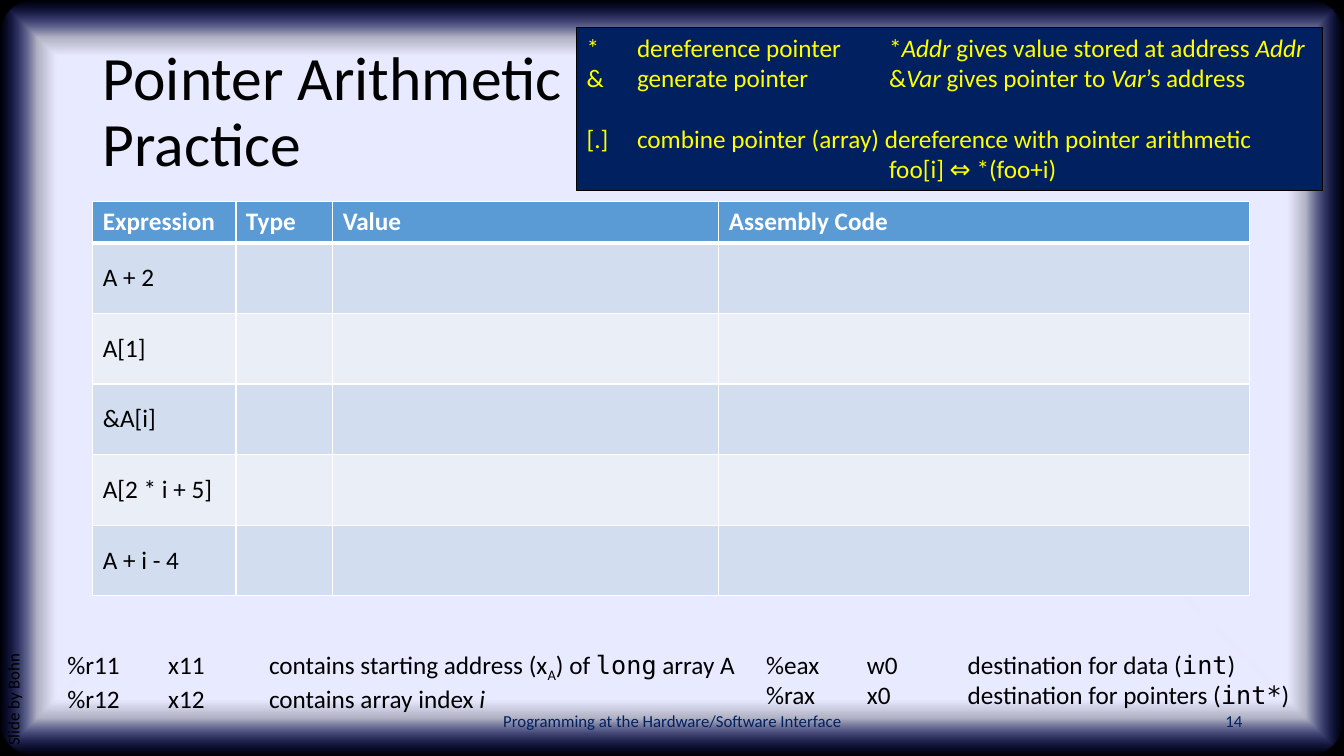
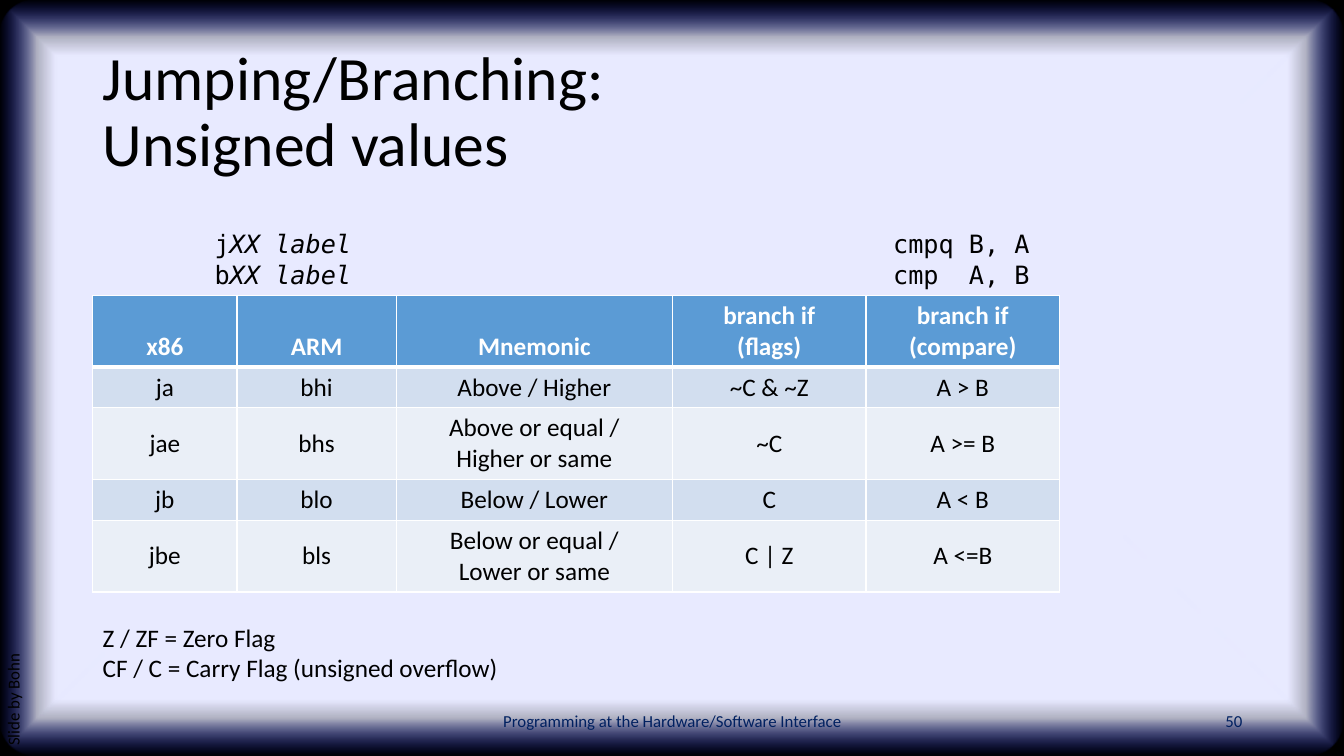
"""Build two lecture slides on pointer arithmetic and unsigned branching."""
from lxml import etree
from pptx import Presentation
from pptx.dml.color import RGBColor
from pptx.enum.shapes import MSO_SHAPE
from pptx.enum.text import MSO_ANCHOR, MSO_AUTO_SIZE, PP_ALIGN
from pptx.oxml import parse_xml
from pptx.oxml.ns import qn
from pptx.util import Inches, Pt

RECT, ROUND = MSO_SHAPE.RECTANGLE, MSO_SHAPE.ROUNDED_RECTANGLE
TOP, MID, LOW = MSO_ANCHOR.TOP, MSO_ANCHOR.MIDDLE, MSO_ANCHOR.BOTTOM
LEFT, MIDST, RIGHT = PP_ALIGN.LEFT, PP_ALIGN.CENTER, PP_ALIGN.RIGHT
GROW, FIXED = MSO_AUTO_SIZE.SHAPE_TO_FIT_TEXT, MSO_AUTO_SIZE.NONE
NS = "http://schemas.openxmlformats.org/drawingml/2006/main"

THEME = {
    "sans": "Calibri", "mono": "DejaVu Sans Mono",
    "title": 44, "text": 18, "small": 12,
    "ink": "000000", "paper": "FFFFFF", "navy": "002060", "bright": "FFFF00",
    "head": "5B9BD5", "bands": ("D2DEEF", "EAEFF7"),
    "glow": ((85, "E8EAFF", 100), (90, "E8EAFF", 75), (100, "162AFF", 0)),
}
WIDE, HIGH = 13.33, 7.5
EDGE = 0.92
FOOT = "Programming at the Hardware/Software Interface"
CREDIT = "Slide by Bohn"

RULES = [
    ["*\tdereference pointer\t*", ("Addr", "i"),
     " gives value stored at address ", ("Addr", "i")],
    ["&\tgenerate pointer\t&", ("Var", "i"), " gives pointer to ",
     ("Var", "i"), "’s address"],
    ["[.]\tcombine pointer (array) dereference with pointer arithmetic"],
    ["\t\tfoo[i] ⇔ *(foo+i)"],
]
INPUTS = [
    ["%r11\tx11\tcontains starting address (x", ("A", "s"), ") of ",
     ("long", "m"), " array A"],
    ["%r12\tx12\tcontains array index ", ("i", "i")],
]
OUTPUTS = [
    ["%eax\tw0\tdestination for data (", ("int", "m"), ")"],
    ["%rax\tx0\tdestination for pointers (", ("int*", "m"), ")"],
]
TASKS = [("Expression", "Type", "Value", "Assembly Code")] + [
    (task, "", "", "")
    for task in ("A + 2", "A[1]", "&A[i]", "A[2 * i + 5]", "A + i - 4")]
JUMPS = [
    ("x86", "ARM", "Mnemonic", "branch if\n(flags)", "branch if\n(compare)"),
    ("ja", "bhi", "Above / Higher", "~C & ~Z", "A > B"),
    ("jae", "bhs", "Above or equal /\nHigher or same", "~C", "A >= B"),
    ("jb", "blo", "Below / Lower", "C", "A < B"),
    ("jbe", "bls", "Below or equal /\nLower or same", "C | Z", "A <=B"),
]
SYNTAX = [[("j", "m"), ("XX label", "mi")], [("b", "m"), ("XX label", "mi")]]
COMPARE = [[("cmpq B, A", "m")], [("cmp  A, B", "m")]]
FLAGS = [["Z / ZF = Zero Flag"], ["CF / C = Carry Flag (unsigned overflow)"]]


def rgb(code):
    return RGBColor.from_string(code)


def apply(item, **values):
    for name, value in values.items():
        setattr(item, name, value)


def place(item, left, top, width, height):
    apply(item, left=Inches(left), top=Inches(top),
          width=Inches(width), height=Inches(height))


def paint(item, color):
    item.fill.solid()
    item.fill.fore_color.rgb = rgb(color)


def write(frame, paras, size="text", color="ink", bold=False, tabs=(), **form):
    for num, parts in enumerate(paras):
        para = frame.paragraphs[0] if num == 0 else frame.add_paragraph()
        if tabs:
            stops = etree.SubElement(para._p.get_or_add_pPr(), qn("a:tabLst"))
            for stop in tabs:
                etree.SubElement(stops, qn("a:tab"), pos=str(Inches(stop)), algn="l")
        apply(para, **form)
        for part in parts:
            text, style = (part, "") if isinstance(part, str) else part
            for row, line in enumerate(text.split("\n")):
                if row:
                    para.add_line_break()
                run = para.add_run()
                run.text = line
                apply(run.font, name=THEME["mono" if "m" in style else "sans"],
                      size=Pt(THEME[size]), bold=bold, italic="i" in style)
                run.font.color.rgb = rgb(THEME[color])
                if "s" in style:
                    run.font._element.set("baseline", "-25000")


def add_text(slide, area, paras, wrap=True, auto=GROW, anchor=TOP, **form):
    box = slide.shapes.add_textbox(*map(Inches, area))
    apply(box.text_frame, word_wrap=wrap, auto_size=auto, vertical_anchor=anchor)
    write(box.text_frame, paras, **form)


def add_rect(slide, kind, area):
    shape = slide.shapes.add_shape(kind, *map(Inches, area))
    shape.shadow.inherit = False
    shape.line.fill.background()
    return shape


def add_grid(slide, left, top, cols, heights, data, align, anchor):
    frame = slide.shapes.add_table(
        len(data), len(cols), *map(Inches, (left, top, sum(cols), sum(heights))))
    table = frame.table
    for col, width in zip(table.columns, cols):
        col.width = Inches(width)
    for num, (row, height, texts) in enumerate(zip(table.rows, heights, data)):
        row.height = Inches(height)
        head = num == 0
        for cell, text in zip(row.cells, texts):
            cell.vertical_anchor = anchor if head else MID
            props = cell._tc.get_or_add_tcPr()
            for side in "LRTB":
                thick = 3 if (head and side == "B") or (num == 1 and side == "T") else 1
                props.append(parse_xml(
                    f'<a:ln{side} xmlns:a="{NS}" w="{Pt(thick)}"><a:solidFill>'
                    f'<a:srgbClr val="{THEME["paper"]}"/></a:solidFill></a:ln{side}>'))
            paint(cell, THEME["head"] if head else THEME["bands"][(num - 1) % 2])
            if text:
                write(cell.text_frame, [[text]], color="paper" if head else "ink",
                      bold=head, alignment=align)


def add_back(deck, slide):
    area = (0, 0, WIDE, HIGH)
    base, glow = (add_rect(slide, kind, area) for kind in (RECT, ROUND))
    paint(base, THEME["ink"])
    glow.adjustments[0] = 0.05
    stops = "".join(
        f'<a:gs pos="{pos}000"><a:srgbClr val="{color}"><a:alpha val="{alpha}000"/>'
        "</a:srgbClr></a:gs>" for pos, color, alpha in THEME["glow"])
    fill = parse_xml(
        f'<a:gradFill xmlns:a="{NS}" rotWithShape="1"><a:gsLst>{stops}</a:gsLst>'
        '<a:path path="shape"><a:fillToRect l="50000" t="50000" r="50000" b="50000"/>'
        "</a:path></a:gradFill>")
    glow._element.spPr.find(qn("a:prstGeom")).addnext(fill)
    tree = deck.slide_master.shapes.element
    for spot, shape in enumerate((base, glow), 2):
        tree.insert(spot, shape._element)


def add_page(deck, title, number):
    slide = deck.slides.add_slide(deck.slide_layouts[1])
    head, credit = slide.placeholders
    place(head, EDGE, 0.4, 11.5, 1.45)
    apply(head.text_frame, vertical_anchor=MID, auto_size=FIXED, word_wrap=True)
    write(head.text_frame, [[title]], size="title", alignment=LEFT, line_spacing=0.9)
    place(credit, -2.44, 4.66, 5.28, 0.4)
    credit.rotation = 270
    apply(credit.text_frame, vertical_anchor=TOP, auto_size=FIXED)
    props = credit.text_frame.paragraphs[0]._p.get_or_add_pPr()
    props.attrib.update({"marL": "0", "indent": "0"})
    etree.SubElement(props, qn("a:buNone"))
    write(credit.text_frame, [[CREDIT]], size="small", alignment=LEFT,
          line_spacing=0.9, space_before=Pt(0))
    for left, width, text, align in ((4.42, 4.5, FOOT, MIDST),
                                     (9.42, 3, str(number), RIGHT)):
        add_text(slide, (left, 6.95, width, 0.4), [[text]], auto=FIXED, anchor=MID,
                 size="small", color="navy", alignment=align)
    return slide


def add_practice(deck):
    slide = add_page(deck, "Pointer Arithmetic\nPractice", 14)
    add_back(deck, slide)
    add_grid(slide, EDGE, 2, (1.42, 0.96, 3.83, 5.26),
             [0.41] + [0.7] * (len(TASKS) - 1), TASKS, LEFT, MID)
    box = add_rect(slide, RECT, (5.72, 0.27, 7.4, 1.62))
    paint(box, THEME["navy"])
    box.line.color.rgb = rgb(THEME["ink"])
    box.line.width = Pt(0.75)
    apply(box.text_frame, word_wrap=True, vertical_anchor=TOP)
    write(box.text_frame, RULES, color="bright", tabs=(0.5, 3), alignment=LEFT)
    box.text_frame.paragraphs[2].space_before = Pt(22)
    for left, width, lines in ((0.57, 6.93, INPUTS), (7.5, 5.46, OUTPUTS)):
        add_text(slide, (left, 6.39, width, 0.71), lines, tabs=(1, 2))


def add_branch(deck):
    slide = add_page(deck, "Jumping/Branching:\nUnsigned values", 50)
    heights = [0.1 + 0.3 * max(text.count("\n") + 1 for text in row) for row in JUMPS]
    add_grid(slide, EDGE, 2.93, (1.43, 1.58, 2.74, 1.92, 1.92),
             heights, JUMPS, MIDST, LOW)
    for left, top, width, lines in ((8.76, 2.22, 1.57, COMPARE),
                                    (2.03, 2.22, 1.57, SYNTAX),
                                    (EDGE, 6.12, 4.17, FLAGS)):
        add_text(slide, (left, top, width, 0.71), lines, wrap=False)


def main():
    deck = Presentation()
    apply(deck, slide_width=Inches(WIDE), slide_height=Inches(HIGH))
    add_practice(deck)
    add_branch(deck)
    deck.save("out.pptx")


if __name__ == "__main__":
    main()
